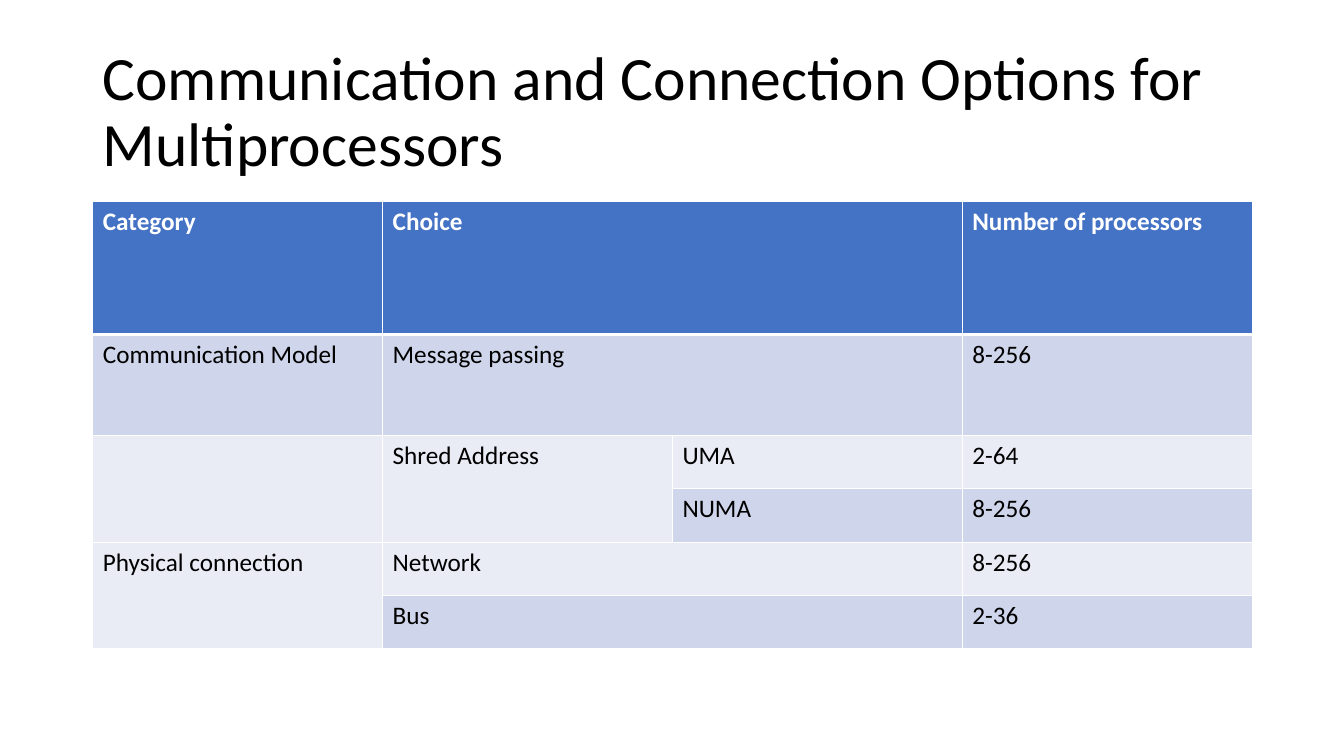
from lxml import etree
from pptx import Presentation, util as u
from pptx.dml.color import RGBColor
from pptx.enum import text
from pptx.oxml.ns import qn

THEME = {
    "font": "Calibri", "title_size": 44, "body_size": 18,
    "ink": "000000", "paper": "FFFFFF", "header": "4472C4",
    "bands": ("E9EBF5", "CFD5EA"), "rule": 1, "header_rule": 3,
}


def style(paragraph, size, color, bold=False):
    for run in paragraph.runs:
        run.font.name = THEME["font"]
        run.font.size = u.Pt(size)
        run.font.bold = bold
        run.font.color.rgb = RGBColor.from_string(color)


def add_border(cell, side, width):
    line = etree.SubElement(cell._tc.get_or_add_tcPr(), qn(f"a:ln{side}"), w=str(u.Pt(width)))
    fill = etree.SubElement(line, qn("a:solidFill"))
    etree.SubElement(fill, qn("a:srgbClr"), val=THEME["paper"])


deck = Presentation()
deck.slide_width, deck.slide_height = u.Inches(13.33), u.Inches(7.5)
slide = deck.slides.add_slide(deck.slide_layouts[6])
left, width = u.Inches(0.92), u.Inches(11.5)

heading = slide.shapes.add_textbox(left, u.Inches(0.4), width, u.Inches(1.45)).text_frame
heading.word_wrap = True
heading.vertical_anchor = text.MSO_ANCHOR.MIDDLE
heading.text = "Communication and Connection Options for Multiprocessors"
heading.paragraphs[0].line_spacing = 0.9
style(heading.paragraphs[0], THEME["title_size"], THEME["ink"])

options = [
    ("Category", "Choice", "", "Number of processors"),
    ("Communication Model", "Message passing", "", "8-256"),
    ("", "Shred Address", "UMA", "2-64"),
    ("", "", "NUMA", "8-256"),
    ("Physical connection", "Network", "", "8-256"),
    ("", "Bus", "", "2-36"),
]
row_heights = [1.32, 1] + [0.53] * 4
merges = [((row, 1), (row, 2)) for row in (0, 1, 4, 5)]
merges += [((2, 0), (3, 0)), ((2, 1), (3, 1)), ((4, 0), (5, 0))]

table = slide.shapes.add_table(
    len(options), len(options[0]), left, u.Inches(2), width, u.Inches(sum(row_heights))
).table
for column in table.columns:
    column.width = width // len(table.columns)

for r, (height, entries) in enumerate(zip(row_heights, options)):
    table.rows[r].height = u.Inches(height)
    is_header = r == 0
    for c, entry in enumerate(entries):
        cell = table.cell(r, c)
        cell.text = entry
        style(cell.text_frame.paragraphs[0], THEME["body_size"],
              THEME["paper" if is_header else "ink"], is_header)
        for side in "LRTB":
            under_header = (r, side) in ((0, "B"), (1, "T"))
            add_border(cell, side, THEME["header_rule" if under_header else "rule"])
        cell.fill.solid()
        cell.fill.fore_color.rgb = RGBColor.from_string(
            THEME["header"] if is_header else THEME["bands"][r % 2])

for first, last in merges:
    table.cell(*first).merge(table.cell(*last))

deck.save("out.pptx")
